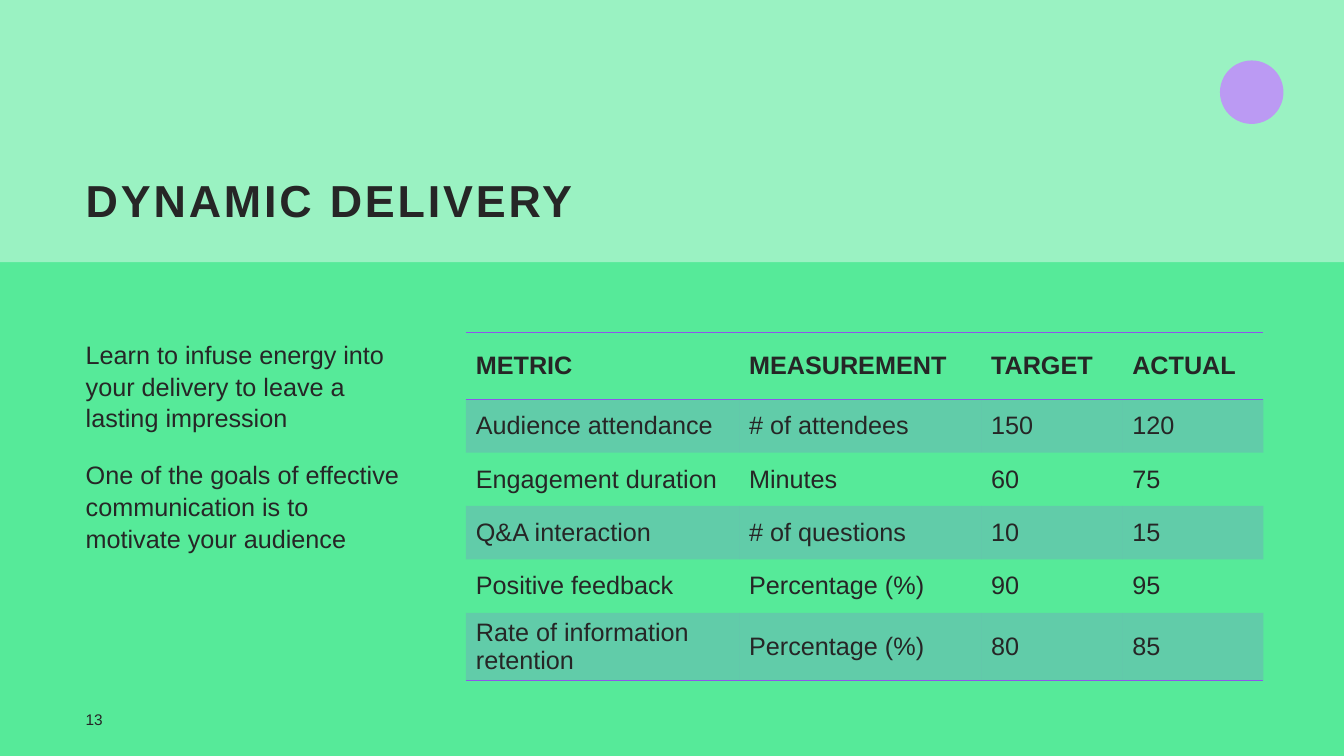
from dataclasses import dataclass

import lxml.etree
import pptx
import pptx.dml.color
import pptx.enum.shapes
import pptx.enum.text
import pptx.oxml.ns
import pptx.util
from pptx.util import Inches

COLORS = {
    "background": "56EA99",
    "band": "9AF2C2",
    "circle": "BB9AF3",
    "accent": "8E56EB",
    "text": "262626",
}
FONT = "Arial"
NO_STYLE_ID = "{2D5ABB26-0587-4C30-8999-92F81FD0307C}"
STRIPE_ALPHA = 20

BODY_PARAGRAPHS = [
    "Learn to infuse energy into your delivery to leave a lasting impression",
    "One of the goals of effective communication is to motivate your audience",
]
COLUMN_WIDTHS = [2.71, 2.4, 1.4, 1.4]
ROW_HEIGHTS = [0.66, 0.53, 0.53, 0.53, 0.53, 0.67]
METRICS = [
    ["METRIC", "MEASUREMENT", "TARGET", "ACTUAL"],
    ["Audience attendance", "# of attendees", "150", "120"],
    ["Engagement duration", "Minutes", "60", "75"],
    ["Q&A interaction", "# of questions", "10", "15"],
    ["Positive feedback", "Percentage (%)", "90", "95"],
    ["Rate of information retention", "Percentage (%)", "80", "85"],
]


@dataclass(frozen=True)
class Box:
    left: float
    top: float
    width: float
    height: float

    def lengths(self) -> tuple:
        return tuple(Inches(value) for value in (self.left, self.top, self.width, self.height))


@dataclass(frozen=True)
class Decoration:
    kind: pptx.enum.shapes.MSO_SHAPE
    box: Box
    color: str


DECORATIONS = [
    Decoration(pptx.enum.shapes.MSO_SHAPE.RECTANGLE, Box(0, 0, 13.33, 2.6), "band"),
    Decoration(pptx.enum.shapes.MSO_SHAPE.OVAL, Box(12.1, 0.6, 0.63, 0.63), "circle"),
]


def rgb(name: str) -> pptx.dml.color.RGBColor:
    return pptx.dml.color.RGBColor.from_string(COLORS[name])


def add_run(paragraph, text: str, size: float, bold: bool = False):
    run = paragraph.add_run()
    run.text = text
    run.font.name = FONT
    run.font.size = pptx.util.Pt(size)
    run.font.bold = bold
    run.font.color.rgb = rgb("text")
    return run


def place(shape, box: Box, anchor: pptx.enum.text.MSO_ANCHOR):
    shape.left, shape.top, shape.width, shape.height = box.lengths()
    frame = shape.text_frame
    frame.word_wrap = True
    frame.auto_size = pptx.enum.text.MSO_AUTO_SIZE.NONE
    frame.vertical_anchor = anchor
    return frame


def add_decoration(slide, decoration: Decoration) -> None:
    shape = slide.shapes.add_shape(decoration.kind, *decoration.box.lengths())
    shape.shadow.inherit = False
    shape.fill.solid()
    shape.fill.fore_color.rgb = rgb(decoration.color)
    shape.line.fill.background()
    slide.shapes.title.element.addprevious(shape.element)


def fill_title(slide) -> None:
    frame = place(slide.shapes.title, Box(0.75, 0.7, 11, 1.6), pptx.enum.text.MSO_ANCHOR.BOTTOM)
    paragraph = frame.paragraphs[0]
    paragraph.alignment = pptx.enum.text.PP_ALIGN.LEFT
    paragraph.line_spacing = 0.9
    run = add_run(paragraph, "DYNAMIC DELIVERY", 32, bold=True)
    run.font._element.set("spc", "200")


def fill_body(slide) -> None:
    frame = place(slide.placeholders[1], Box(0.75, 3.3, 3.4, 3.5), pptx.enum.text.MSO_ANCHOR.TOP)
    for index, text in enumerate(BODY_PARAGRAPHS):
        paragraph = frame.add_paragraph() if index else frame.paragraphs[0]
        properties = paragraph._p.get_or_add_pPr()
        properties.set("marL", "0")
        properties.set("indent", "0")
        lxml.etree.SubElement(properties, pptx.oxml.ns.qn("a:buNone"))
        paragraph.line_spacing = 1.05
        paragraph.space_before = pptx.util.Pt(18 if index else 0)
        add_run(paragraph, text, 18)


def add_border(cell, tag: str) -> None:
    properties = cell._tc.get_or_add_tcPr()
    line = lxml.etree.SubElement(properties, pptx.oxml.ns.qn(tag), w=str(pptx.util.Pt(1)))
    fill = lxml.etree.SubElement(line, pptx.oxml.ns.qn("a:solidFill"))
    lxml.etree.SubElement(fill, pptx.oxml.ns.qn("a:srgbClr"), val=COLORS["accent"])


def fill_cell(cell, text: str, row: int) -> None:
    is_header = row == 0
    cell.vertical_anchor = pptx.enum.text.MSO_ANCHOR.MIDDLE
    add_run(cell.text_frame.paragraphs[0], text, 18, bold=is_header)
    if is_header:
        add_border(cell, "a:lnT")
    if is_header or row == len(METRICS) - 1:
        add_border(cell, "a:lnB")
    if row % 2:
        cell.fill.solid()
        cell.fill.fore_color.rgb = rgb("accent")
        color = cell._tc.tcPr.find("/".join(map(pptx.oxml.ns.qn, ("a:solidFill", "a:srgbClr"))))
        lxml.etree.SubElement(color, pptx.oxml.ns.qn("a:alpha"), val=str(STRIPE_ALPHA * 1000))
    else:
        cell.fill.background()


def add_metrics_table(slide) -> None:
    box = Box(4.62, 3.3, sum(COLUMN_WIDTHS), sum(ROW_HEIGHTS))
    frame = slide.shapes.add_table(len(METRICS), len(COLUMN_WIDTHS), *box.lengths())
    table = frame.table
    table.horz_banding = False
    table._tbl.tblPr.find(pptx.oxml.ns.qn("a:tableStyleId")).text = NO_STYLE_ID
    for column, width in zip(table.columns, COLUMN_WIDTHS):
        column.width = Inches(width)
    for row, height in zip(table.rows, ROW_HEIGHTS):
        row.height = Inches(height)
    for row, texts in enumerate(METRICS):
        for column, text in enumerate(texts):
            fill_cell(table.cell(row, column), text, row)


def add_page_number(slide) -> None:
    box = Box(0.75, 7.01, 0.83, 0.25)
    shape = slide.shapes.add_textbox(*box.lengths())
    frame = place(shape, box, pptx.enum.text.MSO_ANCHOR.MIDDLE)
    add_run(frame.paragraphs[0], "13", 11)


def main() -> None:
    presentation = pptx.Presentation()
    presentation.slide_width = Inches(13.33)
    presentation.slide_height = Inches(7.5)
    slide = presentation.slides.add_slide(presentation.slide_layouts[1])
    slide.background.fill.solid()
    slide.background.fill.fore_color.rgb = rgb("background")
    for decoration in DECORATIONS:
        add_decoration(slide, decoration)
    fill_title(slide)
    fill_body(slide)
    add_metrics_table(slide)
    add_page_number(slide)
    presentation.save("out.pptx")


if __name__ == "__main__":
    main()
